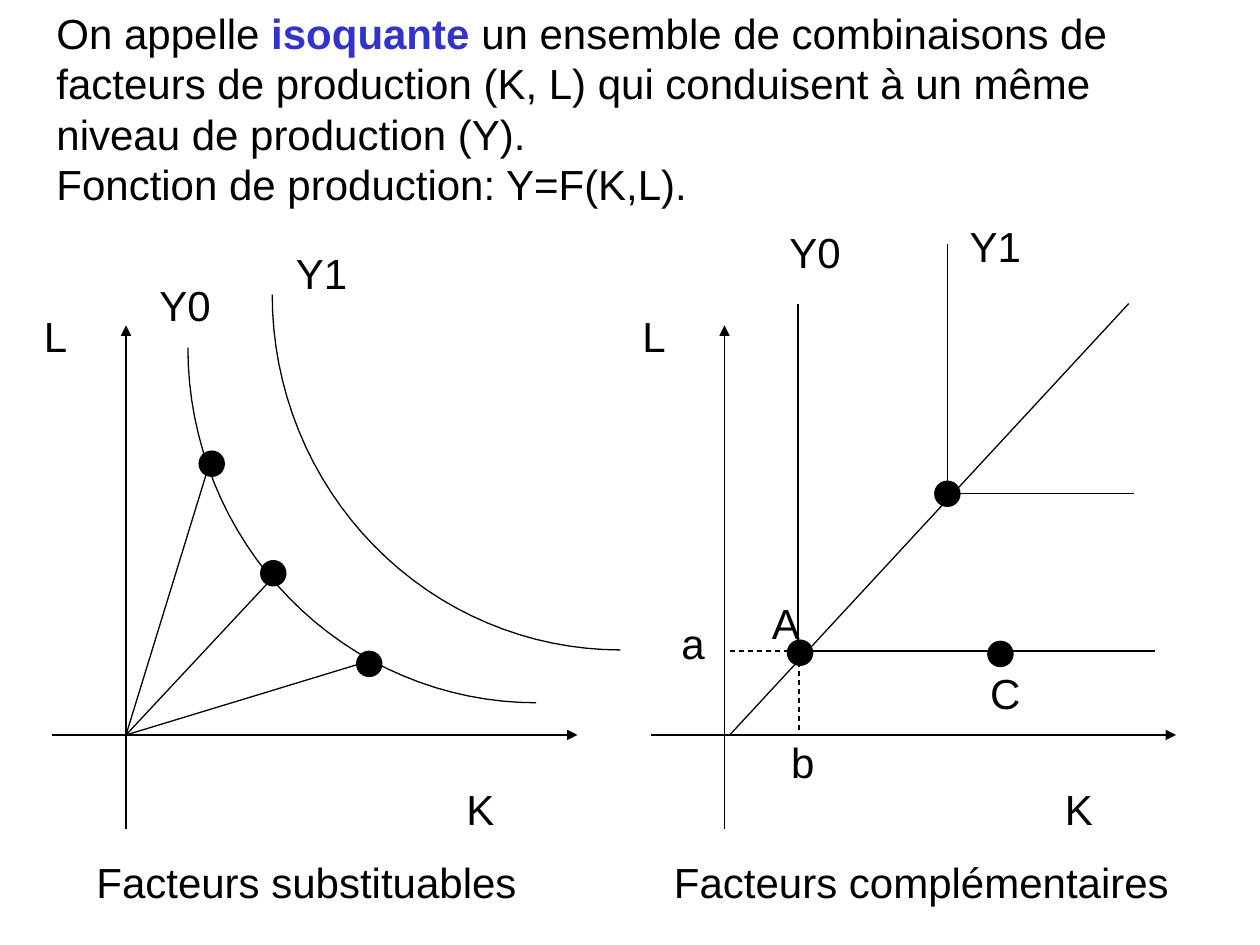
import math

import pptx
import pptx.dml.color
import pptx.enum.dml
import pptx.enum.shapes
import pptx.enum.text
import pptx.oxml
import pptx.oxml.ns
import pptx.util
from lxml import etree

Pt = pptx.util.Pt
BLACK = pptx.dml.color.RGBColor(0x00, 0x00, 0x00)
BLUE = pptx.dml.color.RGBColor(0x33, 0x33, 0xCC)
DASH = pptx.enum.dml.MSO_LINE_DASH_STYLE.DASH


class Sketch:
    font = "Arial"
    size = 24
    stroke = 0.75
    dot_size = 14.4
    inset = 7.2
    curve_steps = 32

    def __init__(self, page):
        self.page = page

    def text(self, left, top, width, height, paragraphs, indent=0):
        """Each paragraph is a list of (wording, colour, bold) runs."""
        box = self.page.shapes.add_textbox(Pt(left), Pt(top), Pt(width), Pt(height))
        frame = box.text_frame
        frame.word_wrap = True
        frame.auto_size = pptx.enum.text.MSO_AUTO_SIZE.SHAPE_TO_FIT_TEXT
        frame.margin_left = Pt(self.inset + indent)
        for index, runs in enumerate(paragraphs):
            para = frame.add_paragraph() if index else frame.paragraphs[0]
            for wording, colour, bold in runs:
                span = para.add_run()
                span.text = wording
                span.font.name = self.font
                span.font.size = Pt(self.size)
                span.font.bold = bold
                span.font.color.rgb = colour

    def label(self, left, top, wording, width=72, indent=0):
        self.text(left, top, width, 36, [[(wording, BLACK, False)]], indent)

    def pen(self, shape):
        shape.line.color.rgb = BLACK
        shape.line.width = Pt(self.stroke)

    def line(self, start, end, dash=None, arrow=False):
        line = self.page.shapes.add_connector(
            pptx.enum.shapes.MSO_CONNECTOR.STRAIGHT, *map(Pt, start + end))
        self.pen(line)
        if dash:
            line.line.dash_style = dash
        if arrow:
            outline = line.line._get_or_add_ln()
            etree.SubElement(outline, pptx.oxml.ns.qn("a:tailEnd"), type="triangle")
        etree.SubElement(line._element.spPr, pptx.oxml.ns.qn("a:effectLst"))

    def dot(self, x, y):
        half = self.dot_size / 2
        dot = self.page.shapes.add_shape(
            pptx.enum.shapes.MSO_SHAPE.OVAL, Pt(x - half), Pt(y - half),
            Pt(self.dot_size), Pt(self.dot_size))
        dot.shadow.inherit = False
        dot.fill.solid()
        dot.fill.fore_color.rgb = BLACK
        self.pen(dot)

    def curve(self, left, top, width, height):
        """Quarter ellipse falling from top left to bottom right."""
        angles = [math.pi / 2 * step / self.curve_steps
                  for step in range(self.curve_steps + 1)]
        points = [(Pt(left + width * (1 - math.cos(angle))),
                   Pt(top + height * math.sin(angle))) for angle in angles]
        builder = self.page.shapes.build_freeform(*points[0])
        builder.add_line_segments(points[1:], close=False)
        curve = builder.convert_to_shape()
        curve.shadow.inherit = False
        curve.fill.background()
        self.pen(curve)

    def axes(self, shift):
        self.line((72 + shift, 474), (72 + shift, 186), arrow=True)
        self.line((30 + shift, 420), (330 + shift, 420), arrow=True)
        self.label(18 + shift, 174, "L", width=36)
        self.label(246 + shift, 444, "K", width=84, indent=13.3)


def main():
    deck = pptx.Presentation()
    deck.slide_width, deck.slide_height = Pt(720), Pt(540)
    page = deck.slides.add_slide(deck.slide_layouts[6])
    sketch = Sketch(page)

    # Definition
    sketch.text(25.2, 0.7, 648, 124, [
        [("On appelle ", BLACK, False),
         ("isoquante ", BLUE, True),
         ("un ensemble de combinaisons de facteurs de production (K, L) "
          "qui conduisent à un même niveau de production (Y).", BLACK, False)],
        [("Fonction de production: Y=F(K,L).", BLACK, False)],
    ])

    # Both diagrams: axes with their names
    for shift in (0, 342):
        sketch.axes(shift)

    # Substitutable factors: smooth isoquants, rays from the origin
    for left, top in ((107.4, 198.6), (155.6, 168.4)):
        sketch.curve(left, top, 199, 203)
    for end in ((120, 264), (156, 330), (210, 378)):
        sketch.line((72, 420), end)
    for center in ((121, 265), (156.2, 327.6), (211, 379.4)):
        sketch.dot(*center)

    # Complementary factors: right-angled isoquants along one ray
    sketch.line((417, 420), (645, 173.5))
    for corner, top, right in (((456, 372), 174, 660), ((541.5, 282), 139.7, 648)):
        sketch.line(corner, (corner[0], top))
        sketch.line(corner, (right, corner[1]))
    for center in ((541.4, 282.2), (457.2, 373), (571.7, 373.7)):
        sketch.dot(*center)
    sketch.line((456.5, 378), (456.5, 417.6), dash=DASH)
    sketch.line((417, 372), (456.5, 372), dash=DASH)

    # Names of curves and points
    for left, top, wording in (
            (84, 156, "Y0"), (162, 138, "Y1"),
            (444, 126, "Y0"), (547, 122.4, "Y1"),
            (434, 337.7, "A"), (558.7, 378, "C"),
            (445, 417.6, "b"), (382.3, 349.2, "a")):
        sketch.label(left, top, wording)

    # Captions
    sketch.label(48, 486, "Facteurs substituables", width=300)
    sketch.label(378, 486, "Facteurs complémentaires", width=300)

    deck.save("out.pptx")


if __name__ == "__main__":
    main()
